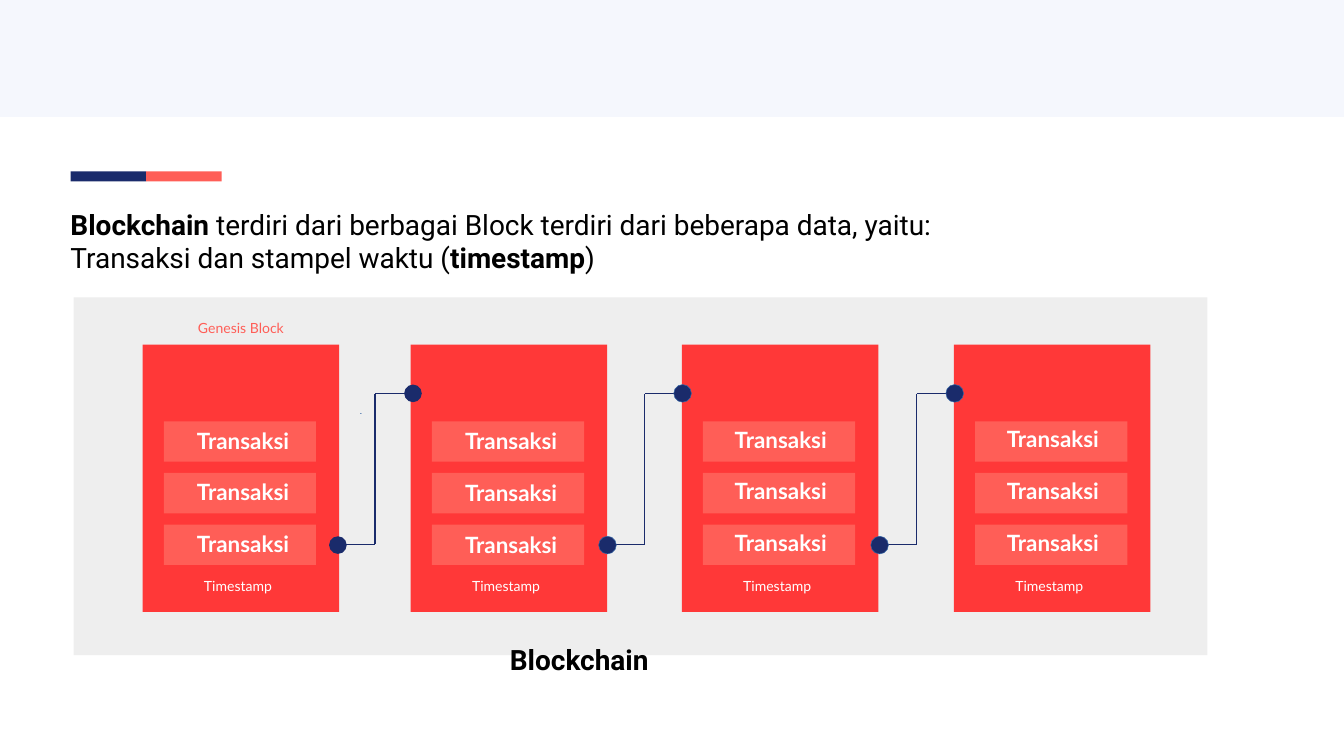
from lxml import etree
from pptx import Presentation
from pptx.dml.color import RGBColor
from pptx.enum.shapes import MSO_CONNECTOR, MSO_SHAPE
from pptx.oxml.ns import qn
from pptx.util import Inches, Pt

RECTANGLE, OVAL = MSO_SHAPE.RECTANGLE, MSO_SHAPE.OVAL
STRAIGHT = MSO_CONNECTOR.STRAIGHT

NAVY, CORAL, RED = "1A2B6B", "FF5E57", "FF3838"
PALE, GRAY, BLUE = "F5F7FD", "EEEEEE", "3465A4"
WHITE, BLACK = "FFFFFF", "000000"

# Each line is a list of (text, bold) runs.
INTRO = [
    [("Blockchain ", True),
     ("terdiri dari berbagai Block terdiri dari beberapa data, yaitu:", False)],
    [("Transaksi dan stampel waktu (", False), ("timestamp", True), (")", False)],
]
CAPTION = [[("Blockchain", True)]]
GENESIS = [[("Genesis Block", False)]]
TRANSACTION = [[("Transaksi", True)]]
TIMESTAMP = [[("Timestamp", False)]]

# Left edge of each block, and the offset of a label from its transaction bar
BLOCKS = [(2.83, 0.56, 0.06), (8.15, 0.56, 0.07), (13.53, 0.53, 0.04), (18.93, 0.53, 0.03)]
BLOCK_TOP, BLOCK_WIDTH, BLOCK_HEIGHT = 6.84, 3.9, 5.3
BAR_INDENT, BAR_TOP, BAR_STEP, BAR_COUNT = 0.42, 8.36, 1.025, 3
BAR_WIDTH, BAR_HEIGHT = 3.02, 0.8

# Start of each link and the outline of its end dots
LINKS = [(6.64, None), (11.99, BLUE), (17.39, BLUE)]
LINK_LOW, LINK_HIGH, LINK_STEP = 10.8, 7.81, 0.8
DOT = 0.35


def color(value):
    return RGBColor.from_string(value)


def add_box(slide, kind, left, top, width, height, fill, outline=None):
    shape = slide.shapes.add_shape(
        kind, Inches(left), Inches(top), Inches(width), Inches(height))
    shape.shadow.inherit = False
    shape.fill.solid()
    shape.fill.fore_color.rgb = color(fill)
    if outline:
        shape.line.color.rgb = color(outline)
        shape.line.width = Pt(0.75)
    else:
        shape.line.fill.background()


def add_text(slide, lines, left, top, width, height, *, size, font, ink):
    frame = slide.shapes.add_textbox(
        Inches(left), Inches(top), Inches(width), Inches(height)).text_frame
    frame.word_wrap = True
    for index, line in enumerate(lines):
        paragraph = frame.add_paragraph() if index else frame.paragraphs[0]
        for text, bold in line:
            run = paragraph.add_run()
            run.text = text
            run.font.name = font
            run.font.size = Pt(size)
            run.font.bold = bold
            run.font.color.rgb = color(ink)


def add_line(slide, start, end):
    connector = slide.shapes.add_connector(
        STRAIGHT, *(Inches(value) for value in (*start, *end)))
    connector.line.color.rgb = color(NAVY)
    connector.line.width = Pt(2)
    etree.SubElement(connector._element.spPr, qn("a:effectLst"))


def add_block(slide, left, label_shift, label_drop):
    add_box(slide, RECTANGLE, left, BLOCK_TOP, BLOCK_WIDTH, BLOCK_HEIGHT, RED)
    bar_left = left + BAR_INDENT
    for row in range(BAR_COUNT):
        top = BAR_TOP + row * BAR_STEP
        add_box(slide, RECTANGLE, bar_left, top, BAR_WIDTH, BAR_HEIGHT, CORAL)
        add_text(slide, TRANSACTION, bar_left + label_shift, top + label_drop,
                 2.11, 0.81, size=32, font="Lato", ink=WHITE)
    add_text(slide, TIMESTAMP, left + 1.12, 11.4, 1.6, 0.54,
             size=20, font="Lato", ink=WHITE)


def add_link(slide, left, outline):
    """Draw a stepped line from one block up to the next, with a dot at each end."""
    middle, right = left + LINK_STEP, left + 2 * LINK_STEP
    points = [(left, LINK_LOW), (middle, LINK_LOW), (middle, LINK_HIGH), (right, LINK_HIGH)]
    for start, end in zip(points, points[1:]):
        add_line(slide, start, end)
    for dot_left, dot_top in [(left - 0.11, LINK_LOW - 0.16), (right - 0.22, LINK_HIGH - 0.18)]:
        add_box(slide, OVAL, dot_left, dot_top, DOT, DOT, NAVY, outline)


def main():
    presentation = Presentation()
    presentation.slide_width = Inches(26.67)
    presentation.slide_height = Inches(15)
    slide = presentation.slides.add_slide(presentation.slide_layouts[6])

    add_box(slide, RECTANGLE, 0, 0, 26.67, 2.32, PALE)
    for index, fill in enumerate([NAVY, CORAL]):
        add_box(slide, RECTANGLE, 1.4 + index * 1.5, 3.4, 1.5, 0.2, fill)
    add_text(slide, INTRO, 1.3, 4.06, 19.89, 1.49, size=40, font="Roboto", ink=BLACK)

    add_box(slide, RECTANGLE, 1.46, 5.9, 22.5, 7.1, GRAY)
    for block in BLOCKS:
        add_block(slide, *block)
    add_text(slide, GENESIS, 3.83, 6.3, 1.98, 0.54, size=20, font="Lato", ink=CORAL)
    add_box(slide, OVAL, 7.15, 8.2, 0.02, 0, BLUE, BLUE)
    for link in LINKS:
        add_link(slide, *link)
    add_text(slide, CAPTION, 10.02, 12.7, 3.57, 0.69, size=40, font="Roboto", ink=BLACK)

    presentation.save("out.pptx")


if __name__ == "__main__":
    main()
